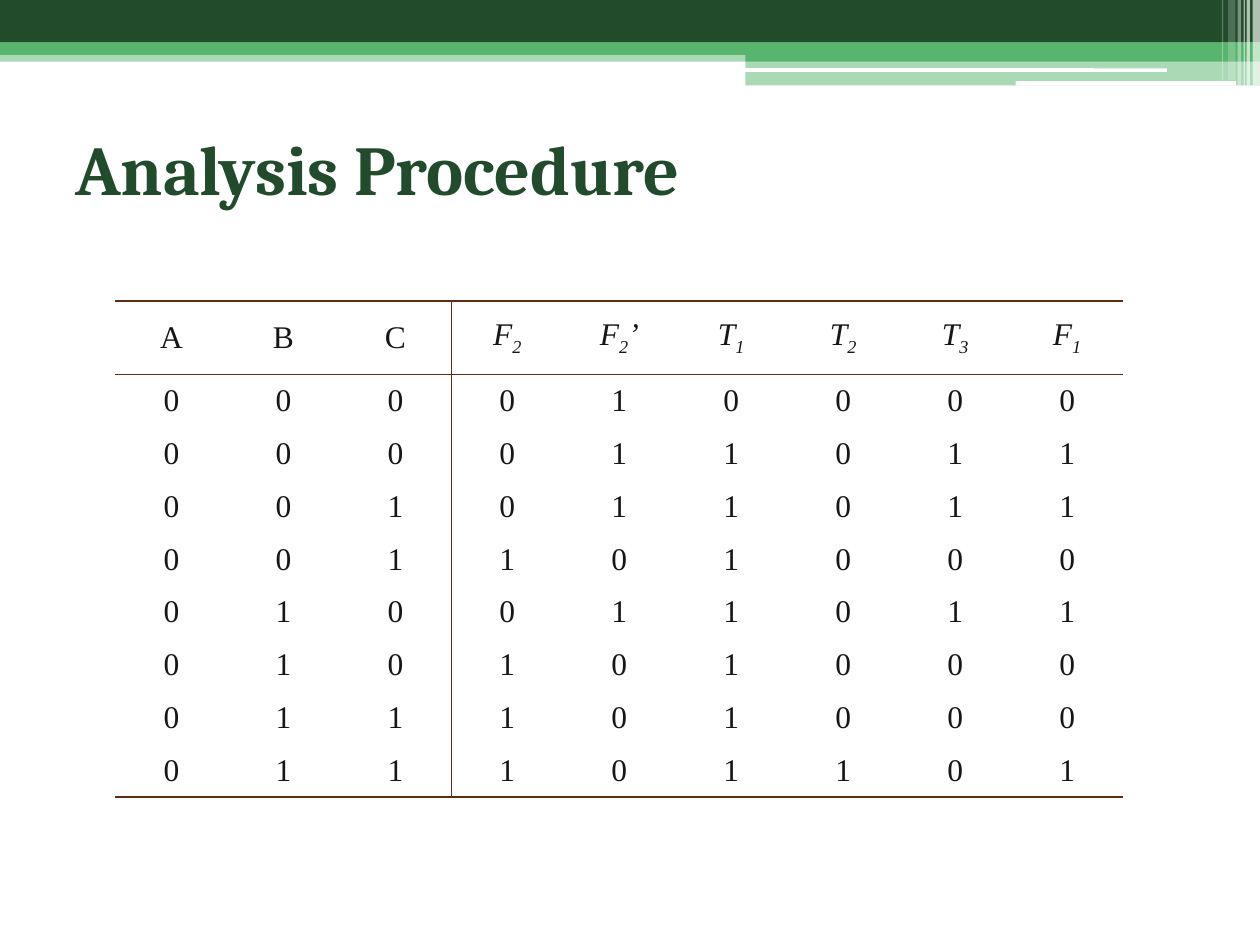
from dataclasses import dataclass

from lxml import etree
from pptx import Presentation
from pptx.dml.color import RGBColor
from pptx.enum import shapes, text
from pptx.oxml import ns
from pptx.util import Pt


@dataclass(frozen=True)
class Theme:
    dark: str = "214B2B"
    green: str = "57B56D"
    white: str = "FFFFFF"
    ink: str = "161616"
    rule: str = "5C2E14"
    title_font: str = "Cambria"
    table_font: str = "Times New Roman"
    title_size: float = 40
    table_size: float = 18
    rule_width: float = 1


THEME = Theme()
PLAIN_TABLE = "{2D5ABB26-0587-4C30-8999-92F81FD0307C}"
HEADINGS = ["A", "B", "C", "F2", "F2’", "T1", "T2", "T3", "F1"]
INPUTS = 3
TRUTH_ROWS = [
    "000010000",
    "000011011",
    "001011011",
    "001101000",
    "010011011",
    "010101000",
    "011101000",
    "011101101",
]


def add_bar(slide, box, color, opacity=100, rounded=False):
    kind = shapes.MSO_SHAPE.ROUNDED_RECTANGLE if rounded else shapes.MSO_SHAPE.RECTANGLE
    bar = slide.shapes.add_shape(kind, *map(Pt, box))
    bar.shadow.inherit = False
    bar.line.fill.background()
    bar.fill.solid()
    bar.fill.fore_color.rgb = RGBColor.from_string(color)
    if opacity < 100:
        shade = bar.fill._xPr.find(".//" + ns.qn("a:srgbClr"))
        etree.SubElement(shade, ns.qn("a:alpha"), val=str(opacity * 1000))


def add_banner(slide, box):
    left, top, width, height = box
    right = left + width
    step_width = 294
    step_left = right - step_width
    add_bar(slide, (left, top + 28.8, width, 6.5), THEME.green, 50)
    add_bar(slide, (left, top, width, 24.4), THEME.dark)
    add_bar(slide, (left, top + 24.2, width, 7.2), THEME.green)
    add_bar(slide, (step_left, top + 28, step_width, 7.2), THEME.green)
    add_bar(slide, (step_left, top + 35.2, step_width, height - 35.2), THEME.green, 50)
    add_bar(slide, (step_left - 0.4, top + 39, 241.2, 2), THEME.white, rounded=True)
    add_bar(slide, (right - 139.6, top + 46.4, 126, 2.6), THEME.white, rounded=True)

    stripes = [
        (4.2, 4.2, height, 65),
        (7.7, 2, height, 65),
        (9.3, 0.7, height, 60),
        (12.8, 2, height, 40),
        (18.2, 4.2, 46, 20),
        (21.7, 0.7, 46, 30),
    ]
    for inset, stripe_width, stripe_height, opacity in stripes:
        add_bar(slide, (right - inset, top, stripe_width, stripe_height), THEME.white, opacity)


def add_run(paragraph, words, font_name, size, color, bold=False, italic=False):
    run = paragraph.add_run()
    run.text = words
    run.font.name = font_name
    run.font.size = Pt(size)
    run.font.color.rgb = RGBColor.from_string(color)
    run.font.bold = bold
    run.font.italic = italic
    return run


def place_title(slide, box, words):
    title = slide.shapes.title
    title.left, title.top, title.width, title.height = map(Pt, box)
    title.text_frame.word_wrap = True
    title.text_frame.vertical_anchor = text.MSO_ANCHOR.MIDDLE
    paragraph = title.text_frame.paragraphs[0]
    paragraph.alignment = text.PP_ALIGN.LEFT
    add_run(paragraph, words, THEME.title_font, THEME.title_size, THEME.dark, bold=True)


def draw_borders(cell, sides):
    properties = cell._tc.get_or_add_tcPr()
    for side in "LRTB":
        width = THEME.rule_width if side in sides else 0
        line = etree.SubElement(properties, ns.qn(f"a:ln{side}"), w=str(Pt(width)))
        if side in sides:
            fill = etree.SubElement(line, ns.qn("a:solidFill"))
            etree.SubElement(fill, ns.qn("a:srgbClr"), val=THEME.rule)
        else:
            etree.SubElement(line, ns.qn("a:noFill"))


def border_sides(row, column):
    sides = ""
    if column == INPUTS:
        sides += "L"
    if column == INPUTS - 1:
        sides += "R"
    if row <= 1:
        sides += "T"
    if row in (0, len(TRUTH_ROWS)):
        sides += "B"
    return sides


def fill_cell(cell, words, italic):
    cell.vertical_anchor = text.MSO_ANCHOR.MIDDLE
    paragraph = cell.text_frame.paragraphs[0]
    paragraph.alignment = text.PP_ALIGN.CENTER
    for letter in words:
        run = add_run(paragraph, letter, THEME.table_font, THEME.table_size, THEME.ink, italic=italic)
        if italic and letter.isdigit():
            run.font._element.set("baseline", "-25000")


def add_truth_table(slide, box, header_height):
    left, top, width, height = box
    rows = [HEADINGS, *TRUTH_ROWS]
    frame = slide.shapes.add_table(len(rows), len(HEADINGS), *map(Pt, box))
    table = frame.table
    table.first_row = table.horz_banding = False
    table._tbl.tblPr.find(ns.qn("a:tableStyleId")).text = PLAIN_TABLE
    for column in table.columns:
        column.width = Pt(width / len(HEADINGS))
    for row in table.rows:
        row.height = Pt((height - header_height) / len(TRUTH_ROWS))
    table.rows[0].height = Pt(header_height)

    for r, values in enumerate(rows):
        for c, value in enumerate(values):
            cell = table.cell(r, c)
            fill_cell(cell, value, italic=r == 0 and c >= INPUTS)
            draw_borders(cell, border_sides(r, c))
            cell.fill.background()


def main():
    deck = Presentation()
    deck.slide_width, deck.slide_height = Pt(720), Pt(540)
    slide = deck.slides.add_slide(deck.slide_layouts[5])
    add_banner(slide, (0, 0, 720, 48.8))
    place_title(slide, (36, 54, 648, 84), "Analysis Procedure")
    add_truth_table(slide, (66, 172, 576, 283.6), header_height=42)
    deck.save("out.pptx")


if __name__ == "__main__":
    main()
